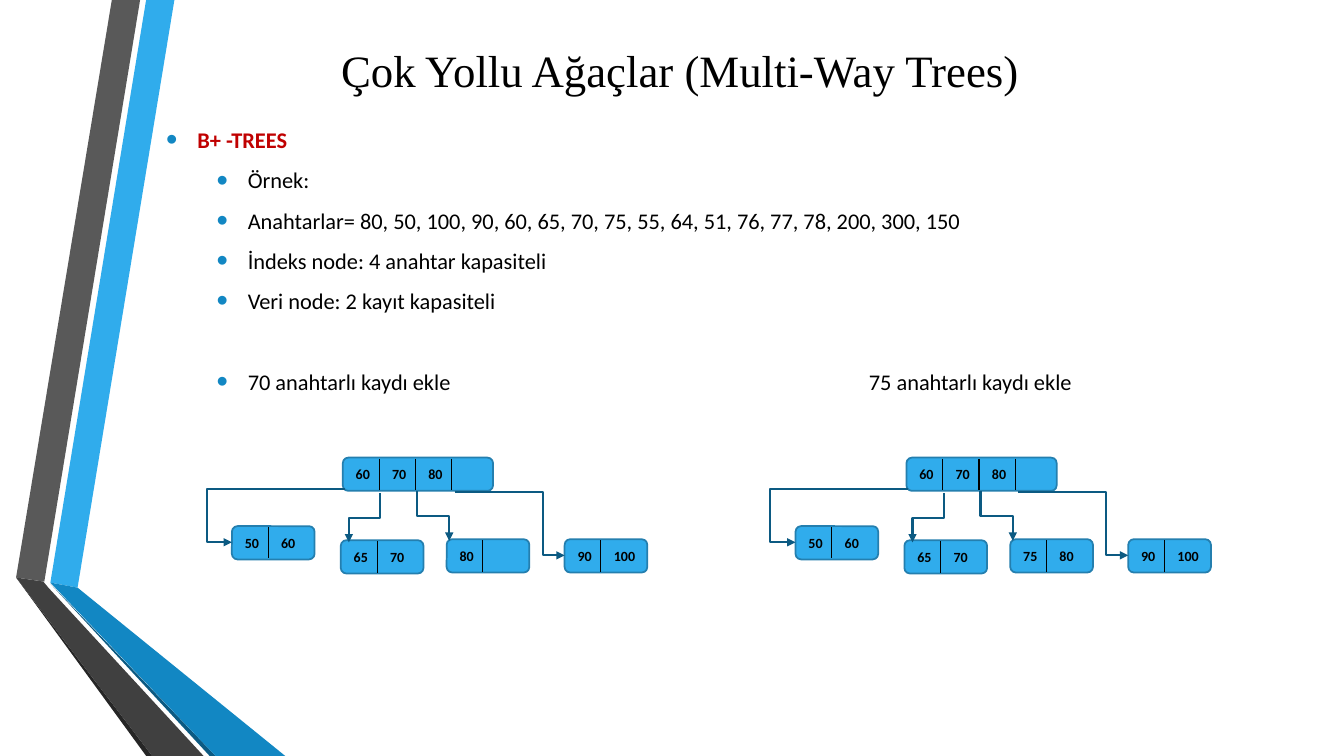
import pptx
import pptx.dml.color
import pptx.enum.shapes
import pptx.enum.text
import pptx.oxml
import pptx.oxml.ns
import pptx.util

Inches, Pt = pptx.util.Inches, pptx.util.Pt
RGB = pptx.dml.color.RGBColor.from_string
ALIGN = pptx.enum.text.PP_ALIGN
SHAPE = pptx.enum.shapes.MSO_SHAPE
CONN = pptx.enum.shapes.MSO_CONNECTOR
COLORS = {
    "blue": "30ACEC", "bullet": "1287C3", "navy": "0C5A82", "edge": "247FAF",
    "grey": "595959", "dark": "404040", "shade": "262626",
    "black": "000000", "red": "C00000",
}


def write(p, text, size=16, color="black", bold=False, font="Calibri", align=ALIGN.LEFT):
    p.alignment = align
    r = p.add_run()
    r.text = text
    r.font.name, r.font.size, r.font.bold = font, Pt(size), bold
    r.font.color.rgb = RGB(COLORS[color])


def connect(shapes, kind, x1, y1, x2, y2, color, width):
    cx = shapes.add_connector(kind, Inches(x1), Inches(y1), Inches(x2), Inches(y2))
    cx.line.color.rgb = RGB(COLORS[color])
    cx.line.width = Pt(width)
    pptx.oxml.ns.qn("a:effectLst")
    cx._element.spPr.append(pptx.oxml.parse_xml(f"<a:effectLst {pptx.oxml.ns.nsdecls('a')}/>"))
    return cx


prs = pptx.Presentation()
prs.slide_width, prs.slide_height = Inches(13.33), Inches(7.5)
s = prs.slides.add_slide(prs.slide_layouts[5])

# Folded ribbons on the left
ribbons = [
    ("blue", [(0.5, 5.78), (0.77, 5.83), (1.73, 0), (1.45, 0)]),
    ("grey", [(1.39, 0), (1.11, 0), (0.16, 5.73), (0.44, 5.77)]),
    ("shade", [(0.16, 5.73), (1.45, 7.5), (1.51, 7.5)]),
    ("navy", [(0.5, 5.79), (2.08, 7.5), (2.14, 7.5)]),
    ("bullet", [(0.5, 5.78), (2.14, 7.5), (2.83, 7.5), (0.77, 5.83)]),
    ("dark", [(2.02, 7.5), (0.48, 5.83), (0.43, 5.77), (0.16, 5.73), (1.51, 7.5)]),
]
for color, points in ribbons:
    points = [(Inches(x), Inches(y)) for x, y in points]
    fb = s.shapes.build_freeform(*points[0], scale=1.0)
    fb.add_line_segments(points[1:], close=True)
    sp = fb.convert_to_shape()
    sp.shadow.inherit = False
    sp.fill.solid()
    sp.fill.fore_color.rgb = RGB(COLORS[color])
    sp.line.fill.background()

# Title
title = s.shapes.title
title.left, title.top, title.width, title.height = map(Inches, (1.55, 0.17, 10.39, 1.04))
title.text_frame.vertical_anchor = pptx.enum.text.MSO_ANCHOR.MIDDLE
write(title.text_frame.paragraphs[0], "Çok Yollu Ağaçlar (Multi-Way Trees)", size=32,
      font="Times New Roman", align=ALIGN.CENTER)

# Bulleted text
lines = [
    "B+ -TREES",
    "Örnek:",
    "Anahtarlar= 80, 50, 100, 90, 60, 65, 70, 75, 55, 64, 51, 76, 77, 78, 200, 300, 150",
    "İndeks node: 4 anahtar kapasiteli",
    "Veri node: 2 kayıt kapasiteli",
    "70 anahtarlı kaydı ekle\t75 anahtarlı kaydı ekle",
]
body = s.shapes.add_textbox(Inches(1.55), Inches(1.07), Inches(10.87), Inches(3.23))
tf = body.text_frame
tf.word_wrap = True
for i, line in enumerate(lines):
    p = tf.add_paragraph() if i else tf.paragraphs[0]
    p.level = min(i, 1)
    p.line_spacing = 1.5
    if "\t" in line:
        p.space_before = Pt(28.8)
    pPr = p._p.get_or_add_pPr()
    pPr.set("marL", str(Inches(0.81 if i else 0.31)))
    pPr.set("indent", str(Inches(-0.31)))
    bullet = [f'<a:buClr %s><a:srgbClr val="{COLORS["bullet"]}"/></a:buClr>',
              '<a:buSzPct %s val="145000"/>', '<a:buFont %s typeface="Arial"/>',
              '<a:buChar %s char="•"/>']
    if "\t" in line:
        bullet.append(f'<a:tabLst %s><a:tab pos="{Inches(6.97)}" algn="l"/></a:tabLst>')
    for xml in bullet:
        pPr.append(pptx.oxml.parse_xml(xml % pptx.oxml.ns.nsdecls("a")))
    write(p, line, color="black" if i else "red", bold=not i, align=ALIGN.JUSTIFY)

# Two B+ trees: each node is left, top, width, slots, keys
CELL = 0.36
trees = [(0, ["80"]), (5.59, ["75", "80"])]
# Arrows: start, end, bend, rotation in degrees, horizontal flip
arrows = [
    (3.42, 4.85, 2.3, 5.38, 1.224, 0, False),
    (3.37, 4.98, 3.86, 5.29, 0.5, 90, False),
    (4.05, 4.96, 4.54, 5.28, 0.5, 270, True),
    (4.51, 4.88, 5.6, 5.51, 0.8, 0, False),
]
for dx, third_leaf in trees:
    shapes = s.shapes.add_group_shape().shapes
    nodes = [
        (3.4, 4.54, 1.49, 4, ["60", "70", "80"]),
        (2.3, 5.22, 0.82, 2, ["50", "60"]),
        (3.38, 5.36, 0.82, 2, ["65", "70"]),
        (4.43, 5.35, 0.82, 2, third_leaf),
        (5.6, 5.35, 0.82, 2, ["90", "100"]),
    ]
    for left, top, width, slots, keys in nodes:
        x = left + dx
        sp = shapes.add_shape(SHAPE.ROUNDED_RECTANGLE, Inches(x), Inches(top),
                              Inches(width), Inches(0.33))
        sp.shadow.inherit = False
        sp.fill.solid()
        sp.fill.fore_color.rgb = RGB(COLORS["blue"])
        sp.line.color.rgb = RGB(COLORS["edge"])
        sp.line.width = Pt(1.25)
        for i in range(1, slots):
            bar = x + CELL * i
            connect(shapes, CONN.STRAIGHT, bar, top + 0.01, bar, top + 0.32, "black", 0.75)
        for i, key in enumerate(keys):
            tb = shapes.add_textbox(Inches(x + 0.03 + CELL * i), Inches(top + 0.03),
                                    Inches(0.42 if len(key) > 2 else 0.36), Inches(0.27))
            tb.text_frame.word_wrap = False
            write(tb.text_frame.paragraphs[0], key, size=10, bold=True)

    for x1, y1, x2, y2, bend, turn, flip in arrows:
        cx = connect(shapes, CONN.ELBOW, x1 + dx, y1, x2 + dx, y2, "navy", 1.5)
        spPr = cx._element.spPr
        guide = f'<a:gd {pptx.oxml.ns.nsdecls("a")} name="adj1" fmla="val {round(bend * 100000)}"/>'
        spPr.prstGeom.get_or_add_avLst().append(pptx.oxml.parse_xml(guide))
        if turn:
            spPr.xfrm.set("rot", str(turn * 60000))
        if flip:
            spPr.xfrm.set("flipH", "1")
        head = f'<a:tailEnd {pptx.oxml.ns.nsdecls("a")} type="triangle"/>'
        cx.line._get_or_add_ln().append(pptx.oxml.parse_xml(head))

prs.save("out.pptx")
